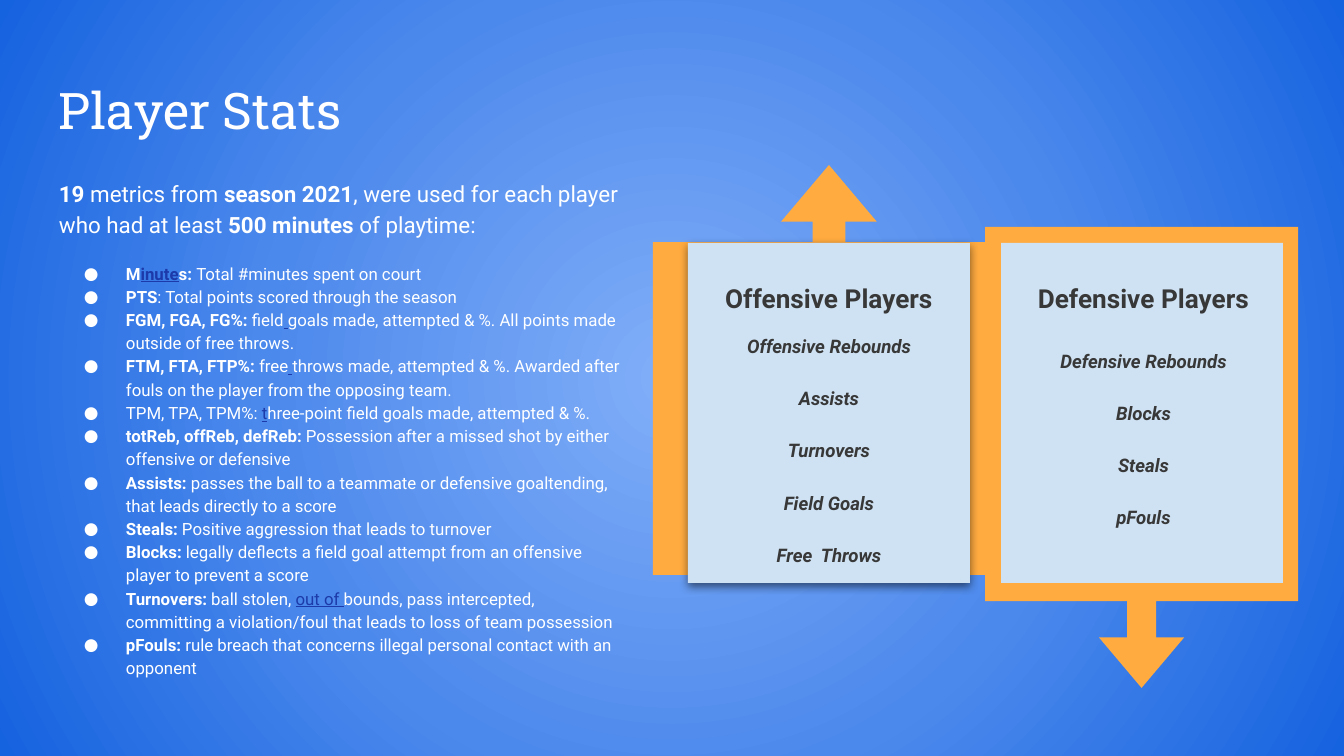
from lxml.etree import SubElement
from pptx import Presentation
from pptx.dml.color import RGBColor
from pptx.enum.shapes import MSO_SHAPE
from pptx.enum.text import MSO_ANCHOR, PP_ALIGN
from pptx.oxml import parse_xml
from pptx.oxml.ns import nsdecls, qn
from pptx.util import Pt

EMU_PER_PX = 914400 / 134.4
COLORS = {
    "white": "FFFFFF", "link": "1C3AA9", "orange": "FFAB40", "panel": "CFE2F3", "dark": "383838",
    "inner": "81AEF8", "middle": "4C89EC", "outer": "1663DF",
}
PLAIN = {"bold": False}
BOLD = {"bold": True}
LINK = {"underline": True, "color": "link"}
BOLD_LINK = {**BOLD, **LINK}

INTRO = [
    ("19 ", BOLD), ("metrics from ", PLAIN), ("season 2021", BOLD),
    (", were used for each player who had at least ", PLAIN),
    ("500 minutes", BOLD), (" of playtime:", PLAIN),
]
METRICS = [
    [("M", BOLD), ("inute", BOLD_LINK), ("s: ", BOLD), ("Total #minutes spent on court", PLAIN)],
    [("PTS", BOLD), (": Total points scored through the season", PLAIN)],
    [("FGM, FGA, FG%: ", BOLD), ("field", PLAIN), (" ", LINK),
     ("goals made, attempted & %. All points made outside of free throws.", PLAIN)],
    [("FTM, FTA, FTP%: ", BOLD), ("free", PLAIN), (" ", LINK),
     ("throws made, attempted & %. Awarded after fouls on the player from the opposing team.", PLAIN)],
    [("TPM, TPA, TPM%: ", PLAIN), ("t", LINK),
     ("hree-point field goals made, attempted & %.", PLAIN)],
    [("totReb, offReb, defReb:", BOLD),
     (" Possession after a missed shot by either offensive or defensive", PLAIN)],
    [("Assists:", BOLD),
     (" passes the ball to a teammate or defensive goaltending, that leads directly to a score", PLAIN)],
    [("Steals:", BOLD), (" Positive aggression that leads to turnover", PLAIN)],
    [("Blocks:", BOLD),
     (" legally deflects a field goal attempt from an offensive player to prevent a score", PLAIN)],
    [("Turnovers:", BOLD), (" ball stolen, ", PLAIN), ("out of ", LINK),
     ("bounds, pass intercepted, committing a violation/foul that leads to loss of team possession", PLAIN)],
    [("pFouls:", BOLD), (" rule breach that concerns illegal personal contact with an opponent", PLAIN)],
]
GROUPS = [
    {"heading": "Offensive Players", "callout": (624, 194, 410, 352), "rotation": 270,
     "panel": (688, 243, 282, 340), "text": (711, 265, 236, 284), "shadow": True, "gap": 11,
     "stats": ["Offensive Rebounds", "Assists", "Turnovers", "Field Goals", "Free  Throws"]},
    {"heading": "Defensive Players", "callout": (911, 301, 461, 313), "rotation": 90,
     "panel": (1001, 243, 282, 340), "text": (1011, 265, 265, 284), "shadow": False, "gap": 19,
     "stats": ["Defensive Rebounds", "Blocks", "Steals", "pFouls"]},
]


def px(length):
    return round(length * EMU_PER_PX)


class SlideBuilder:
    def __init__(self, slide):
        self.slide = slide
        self.font = {"name": "Roboto", "color": "white"}

    def background(self, stops):
        stop_xml = "".join(
            f'<a:gs pos="{position * 1000}"><a:srgbClr val="{COLORS[color]}"/></a:gs>'
            for position, color in stops)
        self.slide.element.cSld.insert(0, parse_xml(
            f'<p:bg {nsdecls("p", "a")}><p:bgPr><a:gradFill><a:gsLst>{stop_xml}</a:gsLst>'
            '<a:path path="circle"><a:fillToRect l="50000" t="50000" r="50000" b="50000"/></a:path>'
            '</a:gradFill><a:effectLst/></p:bgPr></p:bg>'))

    def shape(self, kind, box, color, rotation=0, adjustments=()):
        shape = self.slide.shapes.add_shape(kind, *map(px, box))
        shape.rotation = rotation
        for index, value in enumerate(adjustments):
            shape.adjustments[index] = value
        shape.fill.solid()
        shape.fill.fore_color.rgb = RGBColor.from_string(COLORS[color])
        shape.line.fill.background()
        shape.shadow.inherit = False
        return shape

    def drop_shadow(self, shape):
        effects = shape.element.spPr.find(qn("a:effectLst"))
        shadow = SubElement(effects, qn("a:outerShdw"), blurRad=str(Pt(4.5)), dist=str(Pt(1.5)),
                            dir="5400000", algn="bl", rotWithShape="0")
        color = SubElement(shadow, qn("a:srgbClr"), val="000000")
        SubElement(color, qn("a:alpha"), val="50000")

    def text_box(self, box):
        frame = self.slide.shapes.add_textbox(*map(px, box)).text_frame
        format_values = {"word_wrap": True, "vertical_anchor": MSO_ANCHOR.TOP}
        for side in ("left", "top", "right", "bottom"):
            format_values[f"margin_{side}"] = px(13)
        for name, value in format_values.items():
            setattr(frame, name, value)
        return frame

    def paragraph(self, frame, runs, font, bullet=False, **layout):
        first = frame.paragraphs[0]
        paragraph = frame.add_paragraph() if first.runs else first
        for name, value in layout.items():
            setattr(paragraph, name, value)
        if bullet:
            self.bullet(paragraph)
        for text, style in runs:
            run = paragraph.add_run()
            run.text = text
            values = {**self.font, **font, **style}
            run.font.color.rgb = RGBColor.from_string(COLORS[values.pop("color")])
            for name, value in values.items():
                setattr(run.font, name, value)

    def bullet(self, paragraph):
        properties = paragraph._p.get_or_add_pPr()
        properties.set("marL", str(px(67)))
        properties.set("indent", str(px(-42)))
        color = SubElement(properties, qn("a:buClr"))
        SubElement(color, qn("a:srgbClr"), val=COLORS["white"])
        SubElement(properties, qn("a:buFont"), typeface=self.font["name"])
        SubElement(properties, qn("a:buChar"), char="●")

    def player_group(self, group):
        self.shape(MSO_SHAPE.RIGHT_ARROW_CALLOUT, group["callout"], "orange", group["rotation"],
                   (0.093, 0.136, 0.161, 0.812))
        panel = self.shape(MSO_SHAPE.RECTANGLE, group["panel"], "panel")
        if group["shadow"]:
            self.drop_shadow(panel)
        frame = self.text_box(group["text"])
        heading_font = {"size": Pt(14), "color": "dark", "bold": True}
        self.paragraph(frame, [(group["heading"], {})], heading_font,
                       alignment=PP_ALIGN.CENTER, line_spacing=1.15)
        stat_font = {**heading_font, "size": Pt(10), "italic": True}
        for index, stat in enumerate(group["stats"]):
            self.paragraph(frame, [(stat, {})], stat_font, alignment=PP_ALIGN.CENTER,
                           space_before=Pt(16 if index else group["gap"]))


def main():
    presentation = Presentation()
    presentation.slide_width = px(1344)
    presentation.slide_height = px(756)
    builder = SlideBuilder(presentation.slides.add_slide(presentation.slide_layouts[6]))
    builder.background([(0, "inner"), (53, "middle"), (100, "outer")])

    title = builder.text_box((46, 66, 1253, 85))
    builder.paragraph(title, [("Player Stats", {})], {"name": "Roboto Slab", "size": Pt(27)})

    body = builder.text_box((46, 163, 587, 583))
    builder.paragraph(body, INTRO, {"size": Pt(12)}, line_spacing=1.15)
    for index, metric in enumerate(METRICS):
        builder.paragraph(body, metric, {"size": Pt(9)}, bullet=True, line_spacing=1.15,
                          space_before=Pt(0 if index else 12))

    for group in GROUPS:
        builder.player_group(group)
    presentation.save("out.pptx")


if __name__ == "__main__":
    main()
